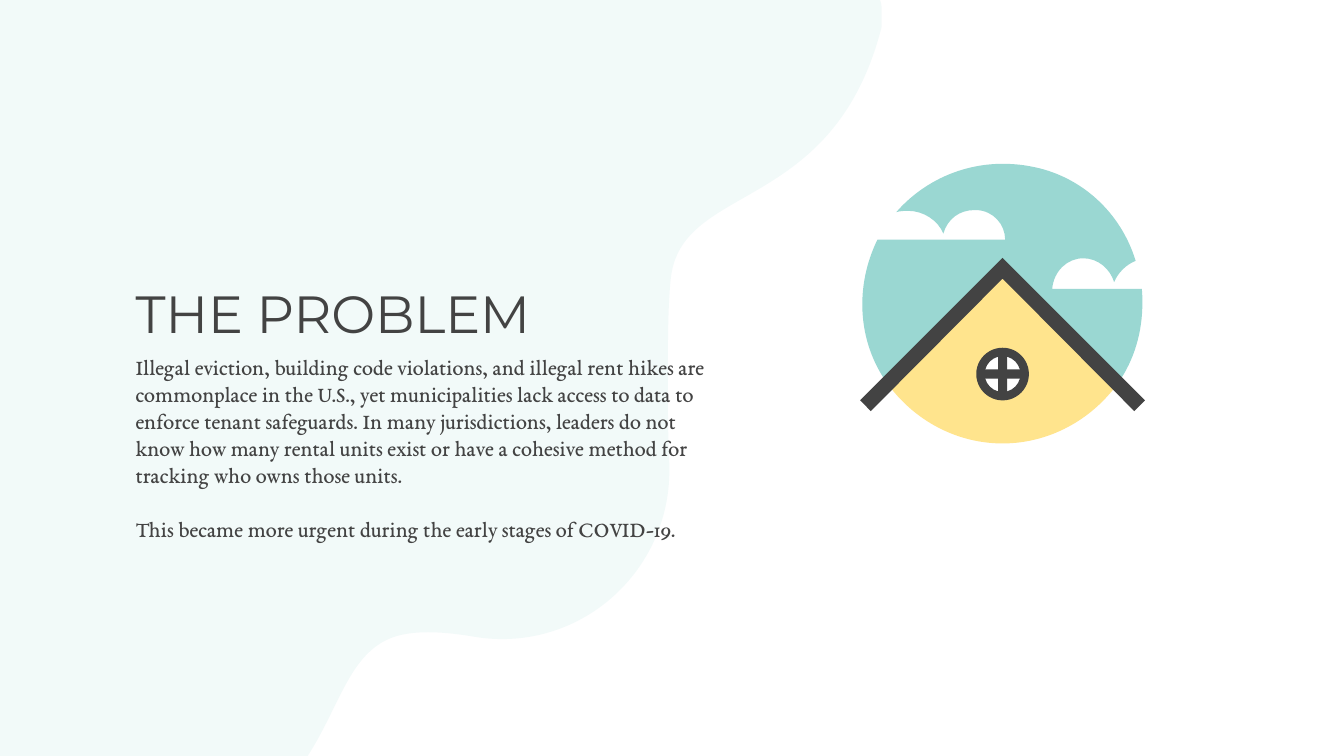
from lxml import etree
from pptx import Presentation
from pptx.dml.color import RGBColor
from pptx.enum import shapes, text
from pptx.oxml.ns import qn
from pptx.util import Pt

TEAL = RGBColor(0x9A, 0xD7, 0xD2)
YELLOW = RGBColor(0xFF, 0xE4, 0x8D)
DARK = RGBColor(0x43, 0x43, 0x43)
WHITE = RGBColor(0xFF, 0xFF, 0xFF)

# Outlines: a pair is a straight line to a point; six numbers are a cubic curve.
BACKDROP = [
    (-15.8, 436.3),
    (10.8, 452.9, 42.5, 462.2, 77.8, 456.5),
    (188.6, 439.2, 167, 353.5, 213.1, 340.6),
    (223.9, 337.7, 238.3, 338.4, 254.9, 341.3),
    (309.6, 349.9, 358.6, 307.4, 358.6, 252),
    (358.6, 250.6, 358.6, 249.8, 358.6, 249.1),
    (357.8, 233.3, 357.8, 217.4, 357.8, 202.3),
    (357.8, 182.9, 357.8, 164.9, 359.3, 149.8),
    (364.3, 97.2, 446.4, 115.9, 472.3, 14.4),
    (472.3, 5),
    (472.3, -3.6, 465.8, -10.1, 457.2, -10.1),
    (-2.2, -10.1),
    (-8.6, -10.1, -14.4, -5.8, -15.8, 0.7),
]
# The house outlines are measured from the top of its centre line.
SKY = [
    (0, 0),
    (-21.6, 0, -42.5, 9.4, -56.9, 25.9),
    (-55.4, 25.4, -53.3, 25.2, -51.1, 25.2),
    (-50.4, 25.2),
    (-42.5, 25.2, -34.6, 30.2, -31.7, 37.4),
    (-29.5, 29.5, -23, 24.8, -15.1, 24.8),
    (-13.7, 24.8),
    (-5, 25.2, 1.4, 32.4, 1.4, 40.6),
    (-67, 40.6),
    (-79.2, 65.5, -77.8, 95, -61.9, 117.4),
    (0, 56.2),
    (61.9, 117.4),
    (70.6, 105.1, 74.9, 90, 74.9, 74.9),
    (74.9, 72, 74.9, 69.1, 74.6, 67),
    (26.6, 67),
    (27.4, 57.6, 34.6, 50.6, 43.2, 50.6),
    (51.1, 50.6, 57.6, 56.2, 59.8, 63.4),
    (61.9, 58.3, 66.2, 54, 71.3, 52),
    (63.4, 25.9, 41.8, 6.2, 15.1, 1.4),
    (10.1, 0.4, 5, 0, 0, 0),
]
WALL = [
    (0, 56.2),
    (-61.9, 117.4),
    (-47.5, 137.5, -24.5, 149.8, 0, 149.8),
    (24.5, 149.8, 47.5, 137.5, 61.9, 117.4),
]
ROOF = [(0, 50.4), (-76.3, 126.7), (-70.6, 132.5),
        (0, 61.5), (70.6, 132.5), (76.3, 126.7)]

PARAGRAPHS = [
    "Illegal eviction, building code violations, and illegal rent hikes are "
    "commonplace in the U.S., yet municipalities lack access to data to enforce "
    "tenant safeguards. In many jurisdictions, leaders do not know how many rental "
    "units exist or have a cohesive method for tracking who owns those units.",
    "This became more urgent during the early stages of COVID-19.",
]


def paint(shape, color):
    shape.shadow.inherit = False
    shape.fill.solid()
    shape.fill.fore_color.rgb = color
    shape.line.fill.background()
    return shape


def bend_curves(shape, outline):
    """Join the three lines drawn for each cubic segment into one curve."""
    lines = iter(list(shape.element.iter(qn("a:lnTo"))))
    for segment in outline[1:]:
        first = next(lines)
        if len(segment) == 2:
            continue
        curve = etree.Element(qn("a:cubicBezTo"))
        first.addprevious(curve)
        for line in (first, next(lines), next(lines)):
            curve.append(line[0])
            line.getparent().remove(line)


def add_outline(slide, outline, left, top, color):
    points = [(Pt(left + x), Pt(top + y))
              for segment in outline
              for x, y in zip(segment[::2], segment[1::2])]
    builder = slide.shapes.build_freeform(*points[0], scale=1.0)
    builder.add_line_segments(points[1:], close=False)
    shape = builder.convert_to_shape()
    bend_curves(shape, outline)
    etree.SubElement(next(shape.element.iter(qn("a:path"))), qn("a:close"))
    return paint(shape, color)


def add_centred(slide, kind, x, y, width, height, color):
    """Add a preset shape around the centre x, y."""
    return paint(slide.shapes.add_shape(
        kind, Pt(x - width / 2), Pt(y - height / 2), Pt(width), Pt(height)), color)


def add_backdrop(slide, left, top):
    backdrop = add_outline(slide, BACKDROP, left, top, TEAL)
    color = next(backdrop.element.iter(qn("a:srgbClr")))
    etree.SubElement(color, qn("a:alpha")).set("val", "12000")
    slide.shapes.title.element.addprevious(backdrop.element)


def set_frame(frame, anchor):
    frame.word_wrap = True
    frame.auto_size = text.MSO_AUTO_SIZE.NONE
    frame.vertical_anchor = anchor
    frame.margin_left = frame.margin_right = Pt(7.2)
    frame.margin_top = frame.margin_bottom = Pt(7.2)


def format_paragraph(paragraph, font_name, size):
    paragraph.alignment = text.PP_ALIGN.LEFT
    for run in paragraph.runs:
        run.font.name = font_name
        run.font.size = Pt(size)
        run.font.color.rgb = DARK


def add_story(slide, left, top):
    title = slide.shapes.title
    title.left, title.top, title.width, title.height = (
        Pt(left), Pt(top), Pt(304.6), Pt(64.8))
    set_frame(title.text_frame, text.MSO_ANCHOR.BOTTOM)
    title.text_frame.text = "THE PROBLEM"
    format_paragraph(title.text_frame.paragraphs[0], "Montserrat", 28)

    body = slide.shapes.add_textbox(Pt(left), Pt(top + 55.4), Pt(332.6), Pt(140.4))
    frame = body.text_frame
    set_frame(frame, text.MSO_ANCHOR.TOP)
    frame.text = "\n".join(PARAGRAPHS)
    for paragraph in frame.paragraphs:
        format_paragraph(paragraph, "EB Garamond", 12)
        paragraph.line_spacing = 1.0
    frame.paragraphs[1].space_before = Pt(14.5)


def add_house(slide, left, top, width):
    centre = left + width / 2
    for outline, color in ((SKY, TEAL), (WALL, YELLOW), (ROOF, DARK)):
        add_outline(slide, outline, centre, top, color)

    middle = top + 112.6
    kinds = shapes.MSO_SHAPE
    add_centred(slide, kinds.OVAL, centre, middle, 23.6, 23.6, WHITE)
    ring = add_centred(slide, kinds.DONUT, centre, middle, 28.2, 28.2, DARK)
    ring.adjustments[0] = 0.16
    for bar_width, bar_height in ((4.9, 24), (24, 4.9)):
        add_centred(slide, kinds.RECTANGLE, centre, middle, bar_width, bar_height, DARK)


def main():
    presentation = Presentation()
    presentation.slide_width, presentation.slide_height = Pt(720), Pt(405)
    slide = presentation.slides.add_slide(presentation.slide_layouts.get_by_name("Title Only"))
    add_backdrop(slide, 0, 0)
    add_story(slide, 65.5, 126.7)
    add_house(slide, 460.8, 87.8, 152.6)
    presentation.save("out.pptx")


if __name__ == "__main__":
    main()
